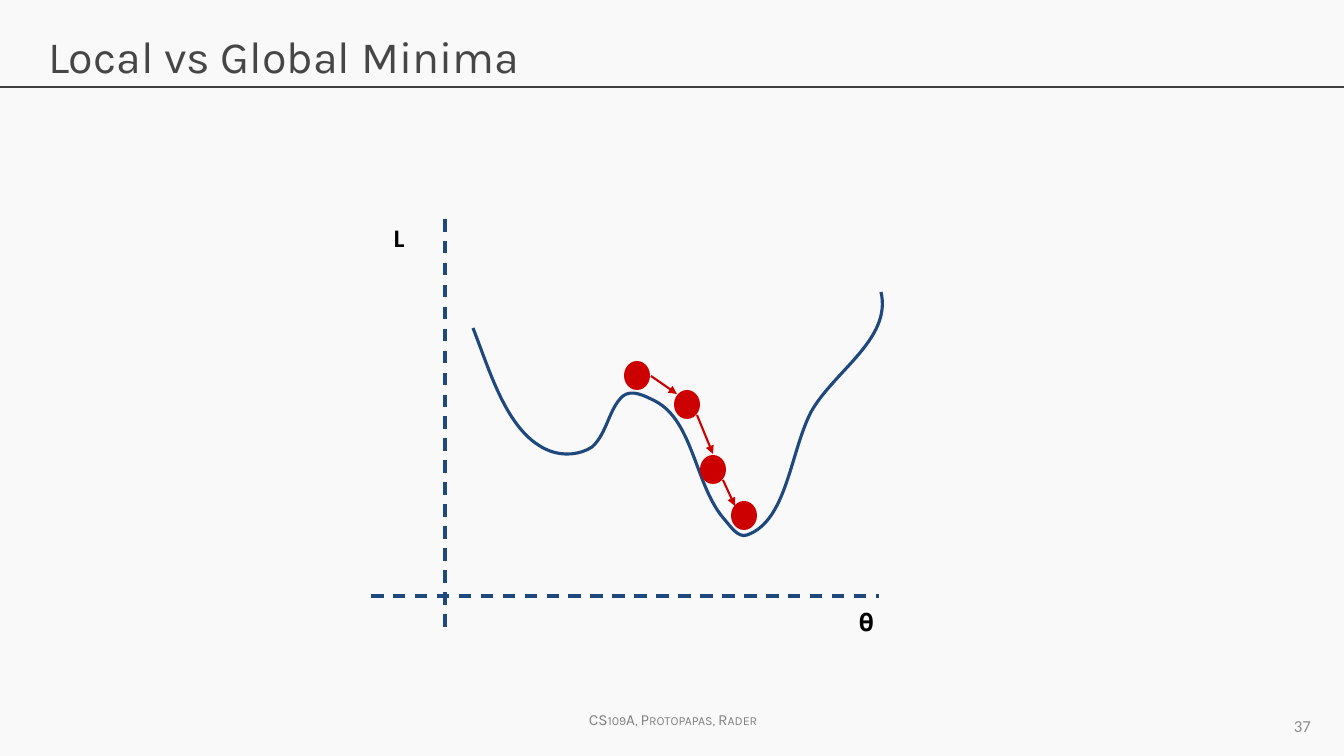
from dataclasses import dataclass

from lxml.etree import SubElement
from pptx import Presentation
from pptx.dml.color import RGBColor
from pptx.enum.dml import MSO_LINE
from pptx.enum.shapes import MSO_CONNECTOR, MSO_SHAPE
from pptx.enum.text import MSO_ANCHOR, PP_ALIGN
from pptx.oxml.ns import qn
from pptx.util import Pt

PX = 914400 / 100.8  # EMU in one px


@dataclass(frozen=True)
class Theme:
    background: str = "F9F9F9"
    rule: str = "404040"
    title: str = "464646"
    footer: str = "808080"
    number: str = "8C8C8C"
    label: str = "000000"
    curve: str = "1F497D"
    ball: str = "CC0000"
    heading_font: str = "Karla"
    body_font: str = "Calibri"
    title_size: int = 32
    label_size: int = 18
    number_size: int = 12
    footer_size: int = 11


THEME = Theme()

# Loss curve: a start point, then two control points and an end point per piece
CURVE_START = (473, 328)
CURVE_PIECES = [
    ((491, 374), (508, 435), (550, 451)),
    ((563, 456), (580, 455), (592, 447)),
    ((607, 434), (609, 408), (623, 396)),
    ((632, 389), (645, 396), (655, 401)),
    ((694, 421), (695, 487), (725, 520)),
    ((731, 527), (738, 538), (747, 535)),
    ((787, 521), (790, 453), (811, 412)),
    ((834, 371), (892, 339), (881, 292)),
]

BALL_WIDTH, BALL_HEIGHT = 26, 29
BALLS = [(624, 361), (674, 390), (700, 455), (731, 501)]
ARROWS = [(651, 376, 677, 394), (697, 415, 713, 454), (723, 480, 735, 506)]
AXES = [(445, 219, 445, 634), (371, 596, 879, 596)]


def emu(*lengths):
    return [round(length * PX) for length in lengths]


def rgb(color):
    return RGBColor.from_string(color)


def write_text(shape, text, *, size, color, font=THEME.body_font, bold=False, inset=(10, 5),
               align=PP_ALIGN.LEFT, anchor=MSO_ANCHOR.TOP, wrap=True, small_caps=False):
    frame = shape.text_frame
    frame.word_wrap = wrap
    frame.vertical_anchor = anchor
    frame.margin_left = frame.margin_right = emu(inset[0])[0]
    frame.margin_top = frame.margin_bottom = emu(inset[1])[0]
    paragraph = frame.paragraphs[0]
    paragraph.alignment = align
    run = paragraph.add_run()
    run.text = text
    run.font.name = font
    run.font.size = Pt(size)
    run.font.bold = bold
    run.font.color.rgb = rgb(color)
    if small_caps:
        run.font._element.set("cap", "small")


def add_text(slide, box, text, **text_format):
    write_text(slide.shapes.add_textbox(*emu(*box)), text, **text_format)


def add_line(slide, ends, color, width, dashed=False, arrow=False):
    connector = slide.shapes.add_connector(MSO_CONNECTOR.STRAIGHT, *emu(*ends))
    connector.line.color.rgb = rgb(color)
    connector.line.width = Pt(width)
    if dashed:
        connector.line.dash_style = MSO_LINE.DASH
    if arrow:
        SubElement(connector.line._get_or_add_ln(), qn("a:tailEnd"), type="triangle")
    SubElement(connector._element.spPr, qn("a:effectLst"))


def add_ball(slide, left, top):
    ball = slide.shapes.add_shape(MSO_SHAPE.OVAL, *emu(left, top, BALL_WIDTH, BALL_HEIGHT))
    ball.shadow.inherit = False
    ball.fill.solid()
    ball.fill.fore_color.rgb = rgb(THEME.ball)
    ball.line.fill.background()


def add_curve(slide):
    builder = slide.shapes.build_freeform(*emu(*CURVE_START))
    builder.add_line_segments([emu(*piece[-1]) for piece in CURVE_PIECES], close=False)
    curve = builder.convert_to_shape()
    # Bend each straight segment into a cubic one
    segments = list(curve._element.iter(qn("a:lnTo")))
    for segment, piece in zip(segments, CURVE_PIECES):
        bend = segment.makeelement(qn("a:cubicBezTo"))
        for point in piece:
            x, y = emu(*point)
            SubElement(bend, qn("a:pt"), x=str(x - curve.left), y=str(y - curve.top))
        segment.getparent().replace(segment, bend)
    curve.shadow.inherit = False
    curve.fill.background()
    curve.line.color.rgb = rgb(THEME.curve)
    curve.line.width = Pt(2.25)


def add_title(slide, text):
    title = slide.shapes.title
    title.left, title.top, title.width, title.height = emu(38, 24, 1267, 85)
    write_text(title, text, size=THEME.title_size, color=THEME.title, font=THEME.heading_font)


def main():
    presentation = Presentation()
    presentation.slide_width, presentation.slide_height = emu(1344, 756)
    slide = presentation.slides.add_slide(presentation.slide_layouts[5])
    slide.background.fill.solid()
    slide.background.fill.fore_color.rgb = rgb(THEME.background)

    # Heading and footer
    add_line(slide, (0, 87, 1344, 87), THEME.rule, 0.75)
    add_title(slide, "Local vs Global Minima")
    add_text(slide, (579, 705, 199, 29), "CS109A, Protopapas, Rader", size=THEME.footer_size,
             color=THEME.footer, font=THEME.heading_font, wrap=False, small_caps=True)
    add_text(slide, (1008, 706, 313, 40), "37", size=THEME.number_size, color=THEME.number,
             align=PP_ALIGN.RIGHT, anchor=MSO_ANCHOR.MIDDLE)

    # Axes with their labels
    for axis in AXES:
        add_line(slide, axis, THEME.curve, 2.25, dashed=True)
    for text, left, top, bold in (("L", 384, 212, True), ("𝛉", 849, 596, False)):
        add_text(slide, (left, top, 60, 71), text, size=THEME.label_size,
                 color=THEME.label, bold=bold, inset=(10, 10))

    # Loss curve and the ball rolling down to the global minimum
    add_curve(slide)
    for left, top in BALLS:
        add_ball(slide, left, top)
    for arrow in ARROWS:
        add_line(slide, arrow, THEME.ball, 1.5, arrow=True)

    presentation.save("out.pptx")


if __name__ == "__main__":
    main()
